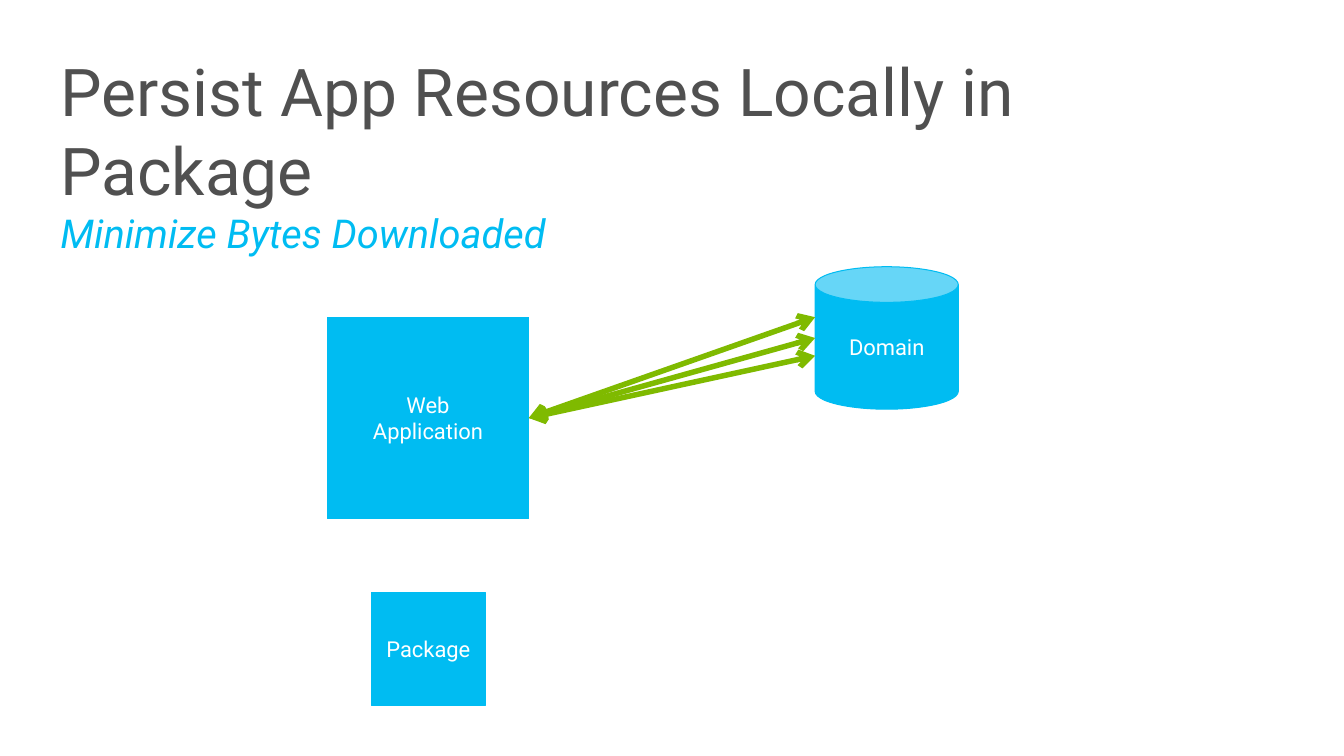
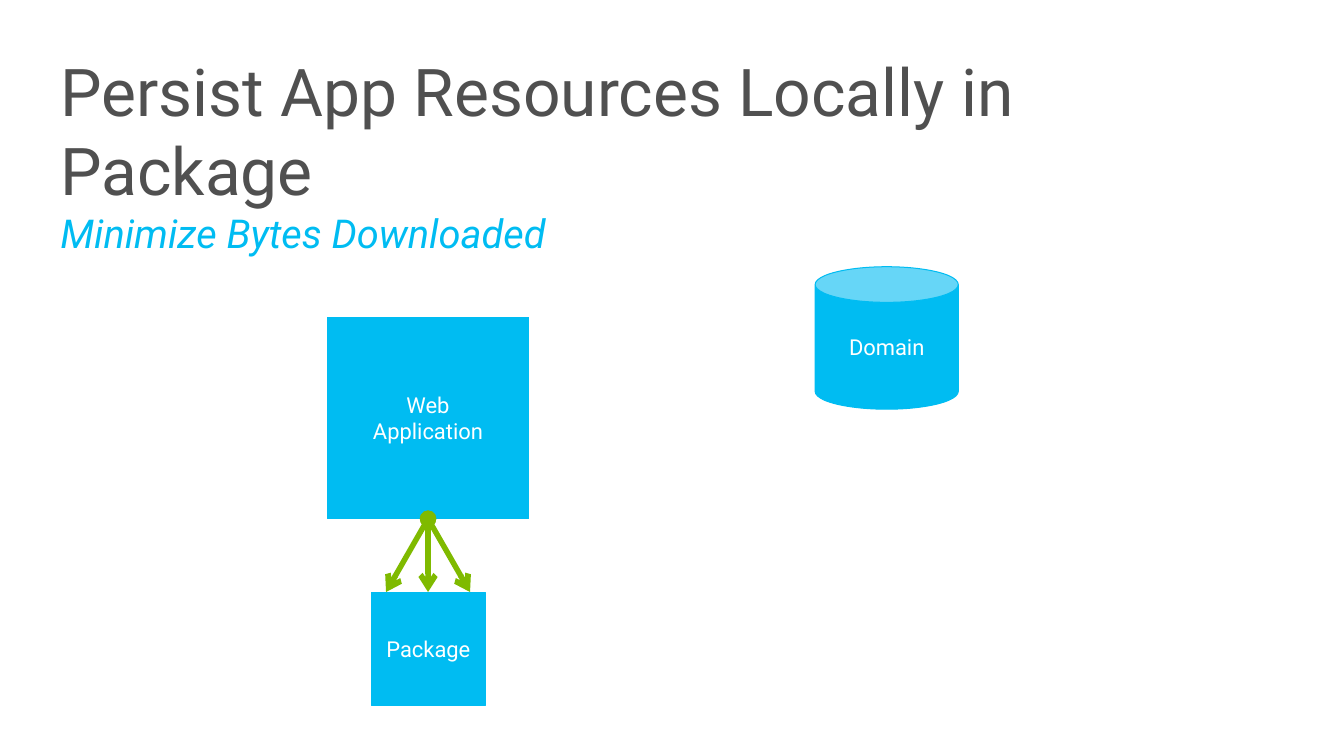
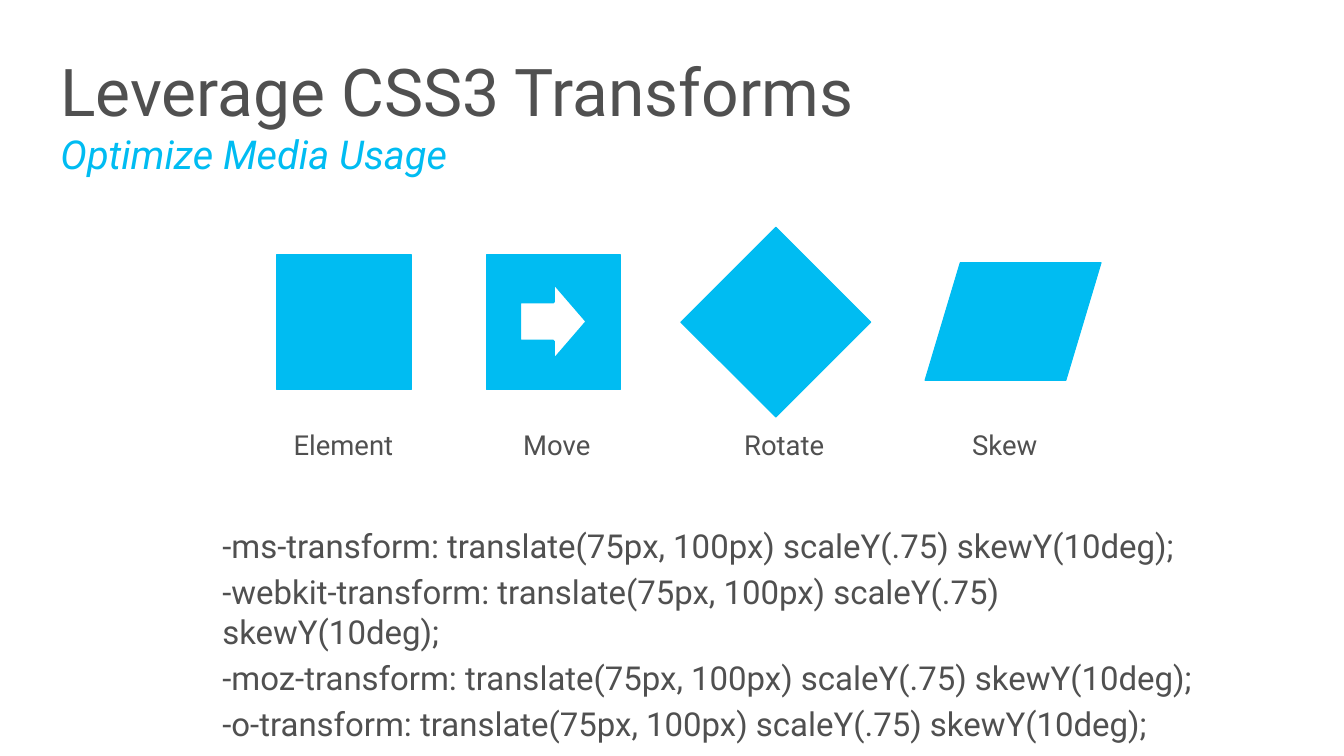
from dataclasses import dataclass

from lxml import etree
from pptx import Presentation
from pptx.dml.color import RGBColor
from pptx.enum.shapes import MSO_CONNECTOR, MSO_SHAPE
from pptx.enum.text import MSO_ANCHOR, MSO_AUTO_SIZE, PP_ALIGN
from pptx.oxml.ns import qn
from pptx.util import Inches, Pt

LEFT, CENTER = PP_ALIGN.LEFT, PP_ALIGN.CENTER
TOP, MIDDLE = MSO_ANCHOR.TOP, MSO_ANCHOR.MIDDLE
NO_FIT, GROW = MSO_AUTO_SIZE.NONE, MSO_AUTO_SIZE.SHAPE_TO_FIT_TEXT
SQUARE, CYLINDER = MSO_SHAPE.RECTANGLE, MSO_SHAPE.CAN
PARALLELOGRAM, RIGHT_ARROW = MSO_SHAPE.FLOWCHART_DATA, MSO_SHAPE.RIGHT_ARROW
STRAIGHT = MSO_CONNECTOR.STRAIGHT
TITLE_ONLY = 5

CELL = 0.34  # inches; the slide is 40 columns by 22.5 rows
COLUMNS, ROWS = 40, 22.5


@dataclass(frozen=True)
class Theme:
    font: str = "Roboto"
    text: str = "505050"
    accent: str = "00BCF2"
    arrow: str = "7FBA00"
    white: str = "FFFFFF"
    title_size: float = 48
    subtitle_size: float = 29
    code_size: float = 24
    label_size: float = 20
    shape_size: float = 16
    outline: float = 0.75
    arrow_width: float = 4


THEME = Theme()


def cells(*counts):
    return [Inches(count * CELL) for count in counts]


def format_run(run, size, color, italic=False):
    run.font.name = THEME.font
    run.font.size = Pt(size)
    run.font.italic = italic
    run.font.color.rgb = RGBColor.from_string(color)


def write(frame, *lines, size, color=THEME.text, align=LEFT, anchor=TOP,
          insets=(0, 0), space_before=0, fit=NO_FIT):
    """Fill a text frame, one paragraph per line; a newline is a line break."""
    frame.word_wrap = True
    frame.auto_size = fit
    frame.vertical_anchor = anchor
    frame.margin_left = frame.margin_right = Inches(insets[0])
    frame.margin_top = frame.margin_bottom = Inches(insets[1])
    for index, line in enumerate(lines):
        paragraph = frame.add_paragraph() if index else frame.paragraphs[0]
        paragraph.text = line
        paragraph.alignment = align
        paragraph.space_before = Pt(space_before if index else 0)
        for run in paragraph.runs:
            format_run(run, size, color)
        for line_break in paragraph._p.findall(qn("a:br")):
            etree.SubElement(line_break, qn("a:rPr"), sz=str(size * 100))


class Deck:
    """The presentation and the slide being drawn; lengths are grid cells."""

    def __init__(self):
        self.presentation = Presentation()
        self.presentation.slide_width, self.presentation.slide_height = cells(COLUMNS, ROWS)
        self.slide = None

    def add_slide(self, title, subtitle):
        layout = self.presentation.slide_layouts[TITLE_ONLY]
        self.slide = self.presentation.slides.add_slide(layout)
        shape = self.slide.shapes.title
        shape.left, shape.top, shape.width, shape.height = cells(1.8, 1.5, 36, 2.38)
        write(shape.text_frame, f"{title}\n{subtitle}", size=THEME.title_size)
        subtitle_run = shape.text_frame.paragraphs[0].runs[-1]
        format_run(subtitle_run, THEME.subtitle_size, THEME.accent, italic=True)

    def add_shape(self, kind, left, top, width, height, text="",
                  fill=THEME.accent, outline=THEME.outline, rotation=0):
        shape = self.slide.shapes.add_shape(kind, *cells(left, top, width, height))
        shape.shadow.inherit = False
        shape.rotation = rotation
        shape.fill.solid()
        shape.fill.fore_color.rgb = RGBColor.from_string(fill)
        shape.line.color.rgb = RGBColor.from_string(THEME.accent)
        shape.line.width = Pt(outline)
        if text:
            write(shape.text_frame, text, size=THEME.shape_size, color=THEME.white,
                  align=CENTER, anchor=MIDDLE, insets=(0.1, 0.05))

    def add_text(self, left, top, width, height, *lines, **text_format):
        box = self.slide.shapes.add_textbox(*cells(left, top, width, height))
        write(box.text_frame, *lines, **text_format)

    def add_arrow(self, start, end, head):
        connector = self.slide.shapes.add_connector(STRAIGHT, *cells(*start, *end))
        connector.line.color.rgb = RGBColor.from_string(THEME.arrow)
        connector.line.width = Pt(THEME.arrow_width)
        line = connector.line._get_or_add_ln()
        etree.SubElement(line, qn("a:headEnd"), type=head)
        etree.SubElement(line, qn("a:tailEnd"), type="arrow")
        etree.SubElement(connector._element.spPr, qn("a:effectLst"))

    def add_arrow_fan(self, start, ends, head):
        for end in ends:
            self.add_arrow(start, end, head)


def add_package_slide(deck, start, ends, head):
    deck.add_slide("Persist App Resources Locally in Package", "Minimize Bytes Downloaded")
    deck.add_shape(SQUARE, 9.74, 9.44, 6, 6, "Web\nApplication")
    deck.add_shape(CYLINDER, 24.26, 7.94, 4.26, 4.24, "Domain")
    deck.add_shape(SQUARE, 11.06, 17.62, 3.38, 3.38, "Package")
    deck.add_arrow_fan(start, ends, head)


def add_transforms_slide(deck):
    deck.add_slide("Leverage CSS3 Transforms", "Optimize Media Usage")
    prefixes = ("ms", "webkit", "moz", "o")
    code = [f"-{prefix}-transform: translate(75px, 100px) scaleY(.75) skewY(10deg);"
            for prefix in prefixes]
    deck.add_text(6.03, 15.18, 30.26, 4.85, *code, size=THEME.code_size,
                  insets=(0.2, 0.16), space_before=THEME.code_size * 0.2)

    square_top, square_size = 7.59, 4
    for left, rotation in ((8.24, 0), (14.47, 0), (21.09, 45)):
        deck.add_shape(SQUARE, left, square_top, square_size, square_size, rotation=rotation)
    deck.add_shape(PARALLELOGRAM, 27.53, 7.82, 5.24, 3.5)
    deck.add_shape(RIGHT_ARROW, 15.47, 8.41, 2, 2.32, fill=THEME.white, outline=2)

    labels = (("Element", 8.47), ("Move", 14.82), ("Rotate", 21.59), ("Skew", 28.15))
    for label, left in labels:
        deck.add_text(left, 12.74, 3.5, 1, label, size=THEME.label_size,
                      align=CENTER, fit=GROW)


def main():
    deck = Deck()
    domain_ends = [(24.26, row) for row in (10.06, 9.44, 10.59)]
    add_package_slide(deck, (15.74, 12.44), domain_ends, "arrow")
    package_ends = [(12.74 + offset, 17.62) for offset in (-1.25, 1.25, 0)]
    add_package_slide(deck, (12.74, 15.44), package_ends, "oval")
    add_transforms_slide(deck)
    deck.presentation.save("out.pptx")


if __name__ == "__main__":
    main()
